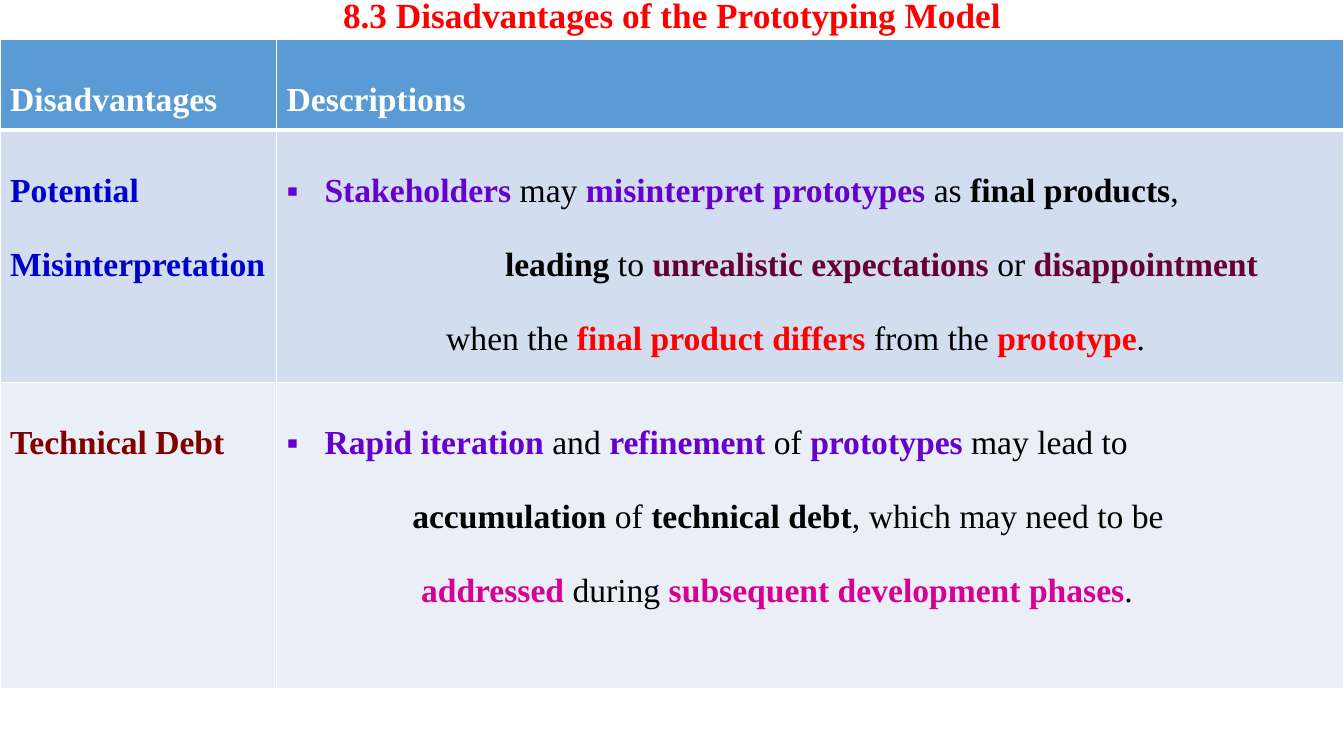
"""Build the slide on the disadvantages of the prototyping model."""
from lxml import etree
from pptx import Presentation, util as u
from pptx.dml.color import RGBColor
from pptx.enum import text
from pptx.oxml import ns

WIDTH, HEIGHT = u.Inches(13.33), u.Inches(7.5)
COLUMN, ROW = WIDTH / 40, HEIGHT / 20
FONT = "Times New Roman"
BLACK = RGBColor(0x00, 0x00, 0x00)
WHITE = RGBColor(0xFF, 0xFF, 0xFF)
RED = RGBColor(0xFF, 0x00, 0x00)
BLUE = RGBColor(0x00, 0x00, 0xCC)
MAROON = RGBColor(0x80, 0x00, 0x00)
VIOLET = RGBColor(0x66, 0x00, 0xCC)
PLUM = RGBColor(0x66, 0x00, 0x33)
PINK = RGBColor(0xD6, 0x00, 0x93)
HEADER_FILL = RGBColor(0x5B, 0x9B, 0xD5)
ROW_FILLS = [HEADER_FILL, RGBColor(0xD2, 0xDE, 0xEF), RGBColor(0xEA, 0xEF, 0xF7)]

TITLE = "8.3 Disadvantages of the Prototyping Model"
TITLE_LEFT, TITLE_SPAN, TITLE_ROWS = 2.75, 34.5, 1.04
COLUMN_SPANS = [8.23, 31.77]
ROW_SPANS = [1.1, 1.1, 8.1]
BULLET_INDENT = 1.13

MISINTERPRETATION = [
    (0, [("Stakeholders", VIOLET), " may ", ("misinterpret prototypes", VIOLET),
         " as ", ("final products", BLACK), ","]),
    (6.5, [("leading", BLACK), " to ", ("unrealistic expectations", PLUM),
           " or ", ("disappointment", PLUM)]),
    (4.75, ["when the ", ("final product differs", RED), " from the ",
            ("prototype", RED), "."]),
]
TECHNICAL_DEBT = [
    (0, [("Rapid iteration", VIOLET), " and ", ("refinement", VIOLET), " of ",
         ("prototypes", VIOLET), " may lead to"]),
    (3.74, [("accumulation", BLACK), " of ", ("technical debt", BLACK),
            ", which may need to be"]),
    (4, [("addressed", PINK), " during ",
         ("subsequent development phases", PINK), "."]),
]


def label(words, color):
    """Return a cell's content as one bold line."""
    return [(0, [(words, color)])]


CELLS = [
    [label("Disadvantages", WHITE), label("Descriptions", WHITE)],
    [label("Potential Misinterpretation", BLUE), MISINTERPRETATION],
    [label("Technical Debt", MAROON), TECHNICAL_DEBT],
]


def set_format(target, values):
    """Set each named attribute of the target."""
    for name, value in values.items():
        setattr(target, name, value)


def add_run(paragraph, words, color, size, bold):
    """Add a run of text in the slide's font."""
    run = paragraph.add_run()
    run.text = words
    set_format(run.font, {"name": FONT, "size": u.Pt(size), "bold": bold})
    run.font.color.rgb = color


def indent(paragraph, columns, bullet=False):
    """Indent a paragraph, hanging it from a square bullet if asked."""
    properties = paragraph._p.get_or_add_pPr()
    margin = int(columns * COLUMN)
    properties.set("marL", str(margin))
    properties.set("indent", str(-margin if bullet else 0))
    if bullet:
        etree.SubElement(properties, ns.qn("a:buFont")).set("typeface", FONT)
        etree.SubElement(properties, ns.qn("a:buChar")).set("char", "▪")


def add_title(slide):
    """Add the centred title at the top of the slide."""
    box = slide.shapes.add_textbox(int(TITLE_LEFT * COLUMN), 0,
                                   int(TITLE_SPAN * COLUMN), int(TITLE_ROWS * ROW))
    set_format(box.text_frame, {
        "word_wrap": True, "vertical_anchor": text.MSO_ANCHOR.MIDDLE,
        "margin_top": 0, "margin_bottom": u.Inches(0.06)})
    paragraph = box.text_frame.paragraphs[0]
    set_format(paragraph, {"alignment": text.PP_ALIGN.CENTER, "line_spacing": 0.9})
    add_run(paragraph, TITLE, RED, 25.2, True)


def fill_cell(cell, lines, color):
    """Write the lines of one cell on its fill colour."""
    cell.fill.solid()
    cell.fill.fore_color.rgb = color
    frame = cell.text_frame
    for number, (columns, pieces) in enumerate(lines):
        paragraph = frame.add_paragraph() if number else frame.paragraphs[0]
        if len(lines) > 1:
            bullet = number == 0
            indent(paragraph, BULLET_INDENT if bullet else columns, bullet)
        set_format(paragraph, {"alignment": text.PP_ALIGN.JUSTIFY, "line_spacing": 2.0})
        for piece in pieces:
            bold = isinstance(piece, tuple)
            words, run_color = piece if bold else (piece, BLACK)
            add_run(paragraph, words, run_color, 24, bold)


def underline_cell(cell):
    """Draw a thick white border below a cell."""
    properties = cell._tc.get_or_add_tcPr()
    border = etree.Element(ns.qn("a:lnB"), w=str(u.Pt(3)))
    fill = etree.SubElement(border, ns.qn("a:solidFill"))
    etree.SubElement(fill, ns.qn("a:srgbClr")).set("val", str(WHITE))
    properties.insert(0, border)


def add_disadvantages(slide):
    """Add the table of disadvantages below the title."""
    frame = slide.shapes.add_table(len(ROW_SPANS), len(COLUMN_SPANS), 0,
                                   int(TITLE_ROWS * ROW), WIDTH,
                                   int(sum(ROW_SPANS) * ROW))
    table = frame.table
    for column, span in zip(table.columns, COLUMN_SPANS):
        column.width = int(span * COLUMN)
    for row, span, color, contents in zip(table.rows, ROW_SPANS, ROW_FILLS, CELLS):
        row.height = int(span * ROW)
        for cell, lines in zip(row.cells, contents):
            fill_cell(cell, lines, color)
    for cell in table.rows[0].cells:
        underline_cell(cell)


def main():
    """Build and save the presentation."""
    presentation = Presentation()
    set_format(presentation, {"slide_width": WIDTH, "slide_height": HEIGHT})
    slide = presentation.slides.add_slide(presentation.slide_layouts[6])
    add_title(slide)
    add_disadvantages(slide)
    presentation.save("out.pptx")


if __name__ == "__main__":
    main()
